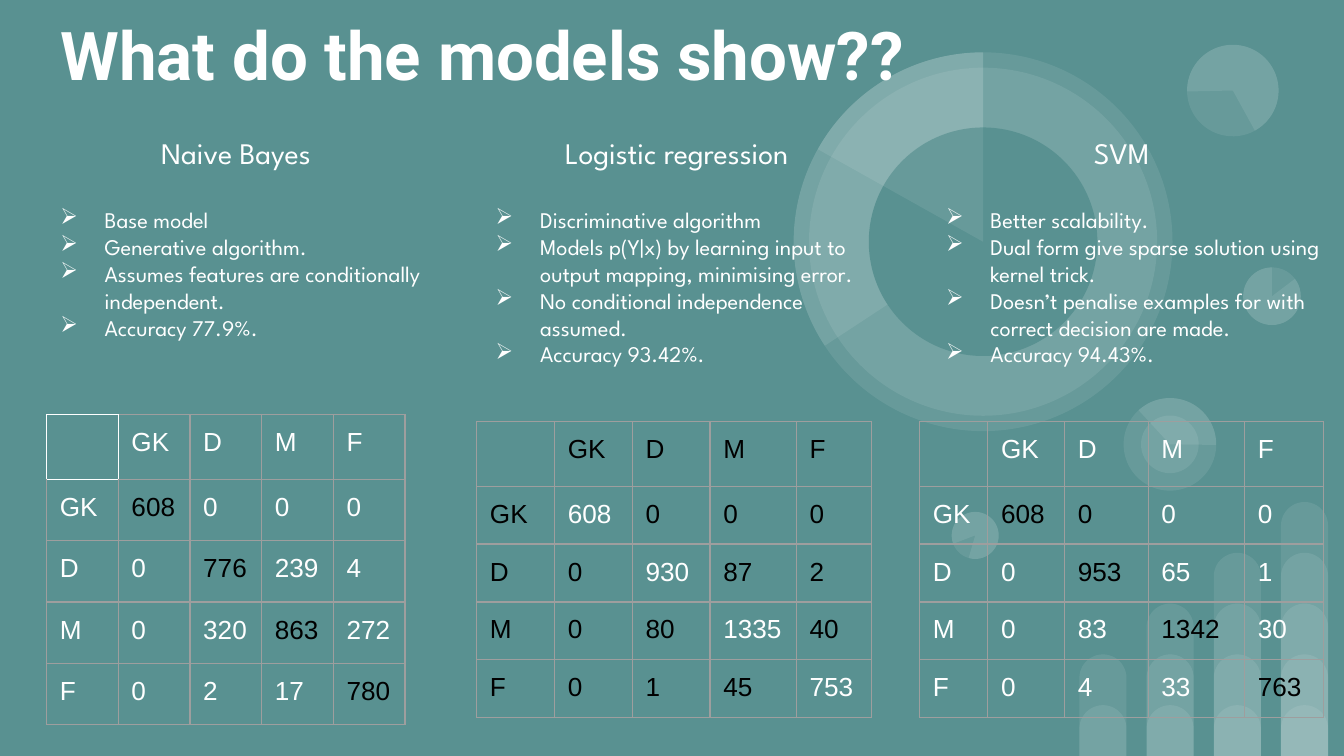
from dataclasses import dataclass

from lxml import etree
from pptx import Presentation
from pptx.dml.color import RGBColor
from pptx.enum.shapes import MSO_SHAPE
from pptx.enum.text import MSO_ANCHOR, PP_ALIGN
from pptx.oxml.ns import qn
from pptx.util import Cm, Pt

ELLIPSE, PIE = MSO_SHAPE.OVAL, MSO_SHAPE.PIE
BAR = MSO_SHAPE.ROUND_2_SAME_RECTANGLE
TOP, MIDDLE = MSO_ANCHOR.TOP, MSO_ANCHOR.MIDDLE
LEFT, CENTER = PP_ALIGN.LEFT, PP_ALIGN.CENTER
WIDTH, HEIGHT = 25.4, 14.29
PIE_TOP = 162  # pie angles are in 1/60000 degree, scaled by 100000


@dataclass(frozen=True)
class Theme:
    back: str = "599191"
    light: str = "FFFFFF"
    dark: str = "000000"
    grid: str = "9E9E9E"
    alpha: int = 9
    title_font: str = "Roboto"
    body_font: str = "League Spartan"
    table_font: str = "Arial"
    title: int = 36
    heading: int = 16
    body: int = 12
    cell: int = 14
    border: float = 0.75
    inset: float = 0.25


def set_all(obj, **values):
    for name, value in values.items():
        setattr(obj, name, value)


def add_xml(parent, tag, **attrs):
    return etree.SubElement(parent, qn(tag), {k: str(v) for k, v in attrs.items()})


class Builder:
    def __init__(self, slide, theme):
        self.s, self.t = slide, theme
        self.margins = {f"margin_{side}": Cm(theme.inset)
                        for side in ("left", "right", "top", "bottom")}
        fill = slide.background.fill
        fill.solid()
        fill.fore_color.rgb = RGBColor.from_string(theme.back)

    def shape(self, kind, x, y, w, h, adj=(), rot=0, solid=False):
        sp = self.s.shapes.add_shape(kind, Cm(x), Cm(y), Cm(w), Cm(h))
        sp.shadow.inherit = False
        sp.rotation = rot
        for i, value in enumerate(adj):
            sp.adjustments[i] = value
        sp.line.fill.background()
        sp.fill.solid()
        sp.fill.fore_color.rgb = RGBColor.from_string(self.t.back if solid else self.t.light)
        if not solid:
            color = sp.element.xpath("./p:spPr/a:solidFill/a:srgbClr")[0]
            add_xml(color, "a:alpha", val=self.t.alpha * 1000)

    def disc(self, kind, cx, cy, d, **options):
        self.shape(kind, cx - d / 2, cy - d / 2, d, d, **options)

    def run(self, p, text, font, size, color, bold=False):
        r = p.add_run()
        r.text = text
        set_all(r.font, name=font, size=Pt(size), bold=bold)
        r.font.color.rgb = RGBColor.from_string(color)

    def text_box(self, x, y, w, h, anchor=TOP):
        tf = self.s.shapes.add_textbox(Cm(x), Cm(y), Cm(w), Cm(h)).text_frame
        set_all(tf, word_wrap=True, vertical_anchor=anchor, **self.margins)
        return tf

    def title(self, text, *box):
        tf = self.text_box(*box, anchor=MIDDLE)
        self.run(tf.paragraphs[0], text, self.t.title_font, self.t.title, self.t.light, True)

    def model_notes(self, heading, points, *box):
        t = self.t
        tf = self.text_box(*box)
        p = tf.paragraphs[0]
        set_all(p, alignment=CENTER, space_after=Pt(19.3))
        self.run(p, heading, t.body_font, t.heading, t.light)
        for point in points:
            p = tf.add_paragraph()
            p.alignment = LEFT
            pPr = p._p.get_or_add_pPr()
            pPr.set("marL", str(Cm(1.27)))
            pPr.set("indent", str(-Cm(0.84)))
            add_xml(add_xml(pPr, "a:buClr"), "a:srgbClr", val=t.light)
            add_xml(pPr, "a:buChar", char="➢")
            self.run(p, point, t.body_font, t.body, t.light)

    def border(self, cell, side, color):
        ln = add_xml(cell._tc.get_or_add_tcPr(), f"a:ln{side}", w=Pt(self.t.border))
        add_xml(add_xml(ln, "a:solidFill"), "a:srgbClr", val=color)

    def confusion_table(self, x, y, widths, row_h, counts, base, accent, accented, white_corner):
        """Class labels and counts; accented (row, column) cells use the accent colour."""
        t = self.t
        rows = [["", *LABELS]] + [[name, *row] for name, row in zip(LABELS, counts)]
        heights = [1.22] + [row_h] * len(LABELS)
        tbl = self.s.shapes.add_table(len(rows), len(widths), Cm(x), Cm(y),
                                      Cm(sum(widths)), Cm(sum(heights))).table
        set_all(tbl, first_row=False, horz_banding=False)
        for col, w in zip(tbl.columns, widths):
            col.width = Cm(w)
        for row, h in zip(tbl.rows, heights):
            row.height = Cm(h)
        for i, row in enumerate(rows):
            for j, value in enumerate(row):
                cell = tbl.cell(i, j)
                set_all(cell, vertical_anchor=TOP, **self.margins)
                for side in "LRTB":
                    white = (i, j) == (0, 0) or (i, j, side) in ((0, 1, "L"), (1, 0, "T"))
                    self.border(cell, side, t.light if white_corner and white else t.grid)
                cell.fill.background()
                p = cell.text_frame.paragraphs[0]
                if value == "":
                    end = add_xml(p._p, "a:endParaRPr", sz=t.cell * 100)
                    add_xml(end, "a:latin", typeface=t.table_font)
                else:
                    color = accent if (i, j) in accented else base
                    self.run(p, str(value), t.table_font, t.cell, color)


LABELS = ["GK", "D", "M", "F"]
DIAGONAL = {(i, i) for i in range(1, 5)}
THEME = Theme()
WHITE, BLACK = THEME.light, THEME.dark

MODELS = [
    dict(heading="Naive Bayes", box=(0.46, 2.29, 8, 11.56),
         points=["Base model", "Generative algorithm.",
                 "Assumes features are conditionally independent.", "Accuracy 77.9%."],
         table=dict(x=0.88, y=7.84, widths=[1.355] * 5, row_h=1.16, base=WHITE, accent=BLACK,
                    accented=DIAGONAL, white_corner=True,
                    counts=[(608, 0, 0, 0), (0, 776, 239, 4), (0, 320, 863, 272), (0, 2, 17, 780)])),
    dict(heading="Logistic regression", box=(8.69, 2.29, 8.2, 11.56),
         points=["Discriminative algorithm",
                 "Models p(Y|x) by learning input to output mapping, minimising error.",
                 "No conditional independence assumed.", "Accuracy 93.42%."],
         table=dict(x=9.01, y=7.97, widths=[1.47, 1.47, 1.47, 1.63, 1.42], row_h=1.06,
                    base=BLACK, accent=WHITE, accented=DIAGONAL, white_corner=False,
                    counts=[(608, 0, 0, 0), (0, 930, 87, 2), (0, 80, 1335, 40), (0, 1, 45, 753)])),
    dict(heading="SVM", box=(17.2, 2.29, 8, 11.56),
         points=["Better scalability.", "Dual form give sparse solution using kernel trick.",
                 "Doesn’t penalise examples for with correct decision are made.",
                 "Accuracy 94.43%."],
         table=dict(x=17.38, y=7.97, widths=[1.29, 1.45, 1.58, 1.82, 1.5], row_h=1.09,
                    base=WHITE, accent=BLACK, accented=DIAGONAL | {(1, 2)}, white_corner=False,
                    counts=[(608, 0, 0, 0), (0, 953, 65, 1), (0, 83, 1342, 30), (0, 4, 33, 763)])),
]


def main():
    prs = Presentation()
    set_all(prs, slide_width=Cm(WIDTH), slide_height=Cm(HEIGHT))
    b = Builder(prs.slides.add_slide(prs.slide_layouts[6]), THEME)

    # Background bars: each column stacks one more overlapping level
    for col in range(4):
        for level in range(1, col + 3):
            h = 0.96 * level
            b.shape(BAR, 20.4 + 1.27 * col, HEIGHT - h, 0.89, h, adj=(0.5, 0))

    # Background small pies: centre, diameter, rotation, slice angles
    for cx, cy, d, rot, adj in [(24.04, 5.6, 1.09, 0, (193.77, PIE_TOP)),
                                (18.43, 10.12, 0.89, 196.2, (193.77, PIE_TOP)),
                                (22.11, 8.4, 1.75, 90, (82.45, 162.46)),
                                (23.3, 1.71, 1.73, 215.9, (193.77, 123.14))]:
        b.disc(ELLIPSE, cx, cy, d, rot=rot)
        b.disc(PIE, cx, cy, d, rot=rot, adj=adj)
    b.disc(ELLIPSE, 22.11, 8.4, 1.09)

    # Background ring
    ring = (18.58, 4.57)
    b.disc(ELLIPSE, *ring, 7.16)
    b.disc(ELLIPSE, *ring, 6.58)
    b.disc(PIE, *ring, 7.16, adj=(88.01, PIE_TOP))
    b.disc(ELLIPSE, *ring, 4.32, solid=True)
    b.disc(PIE, *ring, 7.16, adj=(125.54, PIE_TOP))

    # Title, then notes and confusion table per model
    b.title("What do the models show??", 0.89, 0.3, 23.77, 1.42)
    for model in MODELS:
        b.model_notes(model["heading"], model["points"], *model["box"])
    for model in MODELS:
        b.confusion_table(**model["table"])

    prs.save("out.pptx")


if __name__ == "__main__":
    main()
